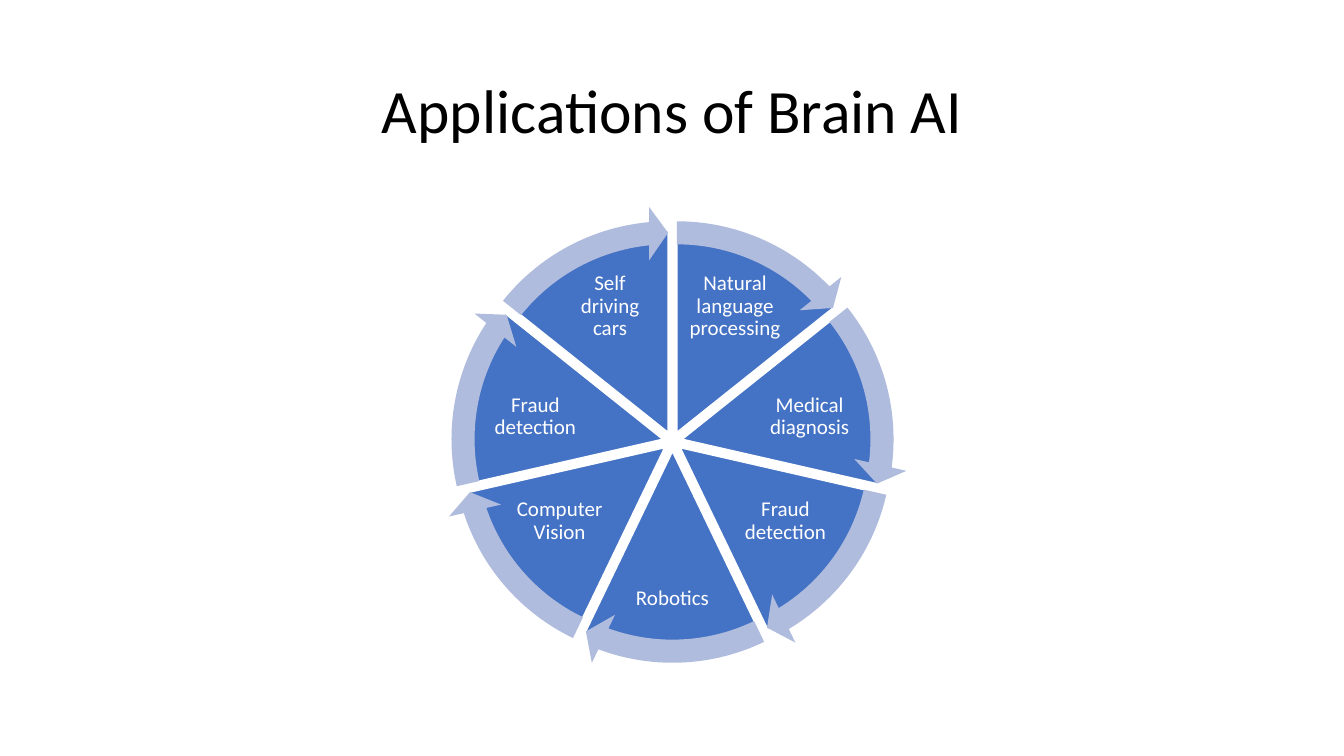
import math

import pptx
import pptx.util
import pptx.dml.color
import pptx.enum.shapes
import pptx.enum.text

Inches = pptx.util.Inches
Pt = pptx.util.Pt
RGBColor = pptx.dml.color.RGBColor
MSO_SHAPE = pptx.enum.shapes.MSO_SHAPE

BLACK = RGBColor(0x00, 0x00, 0x00)
WHITE = RGBColor(0xFF, 0xFF, 0xFF)
BLUE = RGBColor(0x44, 0x72, 0xC4)
PALE_BLUE = RGBColor(0xB0, 0xBC, 0xDE)

APPLICATIONS = [
    "Natural language processing",
    "Medical diagnosis",
    "Fraud detection",
    "Robotics",
    "Computer Vision",
    "Fraud detection",
    "Self driving cars",
]
LABEL_SLOTS = [
    (0.62, 2.66, 0.95, 0.76),
    (1.36, 3.8, 1.09, 0.67),
    (1.12, 4.8, 0.95, 0.74),
    (0, 5.61, 0.93, 0.67),
]
HUB_X, HUB_Y = 6.67, 4.38
GAP = 0.1
FULL_TURN = 216
TOP = 162
STEP = FULL_TURN / len(APPLICATIONS)
HEAD = 3.28


class CycleSlide:
    """Draw the title and the segmented cycle on one slide."""

    font = "Calibri"

    def __init__(self, prs):
        self.slide = prs.slides.add_slide(prs.slide_layouts[5])
        self.cycle = self.slide.shapes.add_group_shape()

    def place(self, sp, x, y, w, h):
        sp.left, sp.top, sp.width, sp.height = map(Inches, (x, y, w, h))

    def add_text(self, sp, text, size, color, inset):
        tf = sp.text_frame
        tf.word_wrap = True
        tf.auto_size = pptx.enum.text.MSO_AUTO_SIZE.NONE
        tf.vertical_anchor = pptx.enum.text.MSO_ANCHOR.MIDDLE
        tf.margin_left = tf.margin_right = Inches(inset)
        tf.margin_top = tf.margin_bottom = Inches(min(inset, 0.05))
        p = tf.paragraphs[0]
        p.alignment = pptx.enum.text.PP_ALIGN.CENTER
        p.line_spacing = 0.9
        r = p.add_run()
        r.text = text
        r.font.name = self.font
        r.font.size = Pt(size)
        r.font.color.rgb = color

    def title(self, text):
        sp = self.slide.shapes.title
        self.place(sp, 0.92, 0.4, 11.5, 1.45)
        self.add_text(sp, text, 44, BLACK, 0.1)

    def round_shape(self, kind, index, diameter, color, adjustments):
        middle = math.radians((TOP + (index + 0.5) * STEP) * 360 / FULL_TURN)
        left = HUB_X + GAP * math.cos(middle) - diameter / 2
        top = HUB_Y + GAP * math.sin(middle) - diameter / 2
        sp = self.cycle.shapes.add_shape(
            kind, Inches(left), Inches(top), Inches(diameter), Inches(diameter))
        sp.shadow.inherit = False
        for i, value in enumerate(adjustments):
            sp.adjustments[i] = value
        sp.fill.solid()
        sp.fill.fore_color.rgb = color
        return sp

    def segment(self, index):
        start = (TOP + index * STEP) % FULL_TURN
        end = (start + STEP) % FULL_TURN
        sp = self.round_shape(MSO_SHAPE.PIE, index, 4, BLUE, (start, end))
        sp.line.color.rgb = WHITE
        sp.line.width = Pt(1)

    def arrow(self, index):
        start = (TOP + index * STEP) % FULL_TURN
        end = (start + STEP - HEAD) % FULL_TURN
        sp = self.round_shape(MSO_SHAPE.CIRCULAR_ARROW, index, 4.49, PALE_BLUE,
                              (0.051, HEAD, end, start, 0.059))
        sp.line.fill.background()

    def label(self, index, text):
        mirror = len(APPLICATIONS) - 1 - index
        offset, top, width, height = LABEL_SLOTS[min(index, mirror)]
        side = 1 if index <= mirror else -1
        left = HUB_X + side * offset - width / 2
        sp = self.cycle.shapes.add_textbox(
            Inches(left), Inches(top), Inches(width), Inches(height))
        self.add_text(sp, text, 15, WHITE, 0.02)


def main():
    prs = pptx.Presentation()
    prs.slide_width = Inches(13.33)
    prs.slide_height = Inches(7.5)
    s = CycleSlide(prs)
    s.title("Applications of Brain AI")
    for index, text in enumerate(APPLICATIONS):
        s.segment(index)
        s.label(index, text)
    for index in range(len(APPLICATIONS)):
        s.arrow(index)
    prs.save("out.pptx")


if __name__ == "__main__":
    main()
